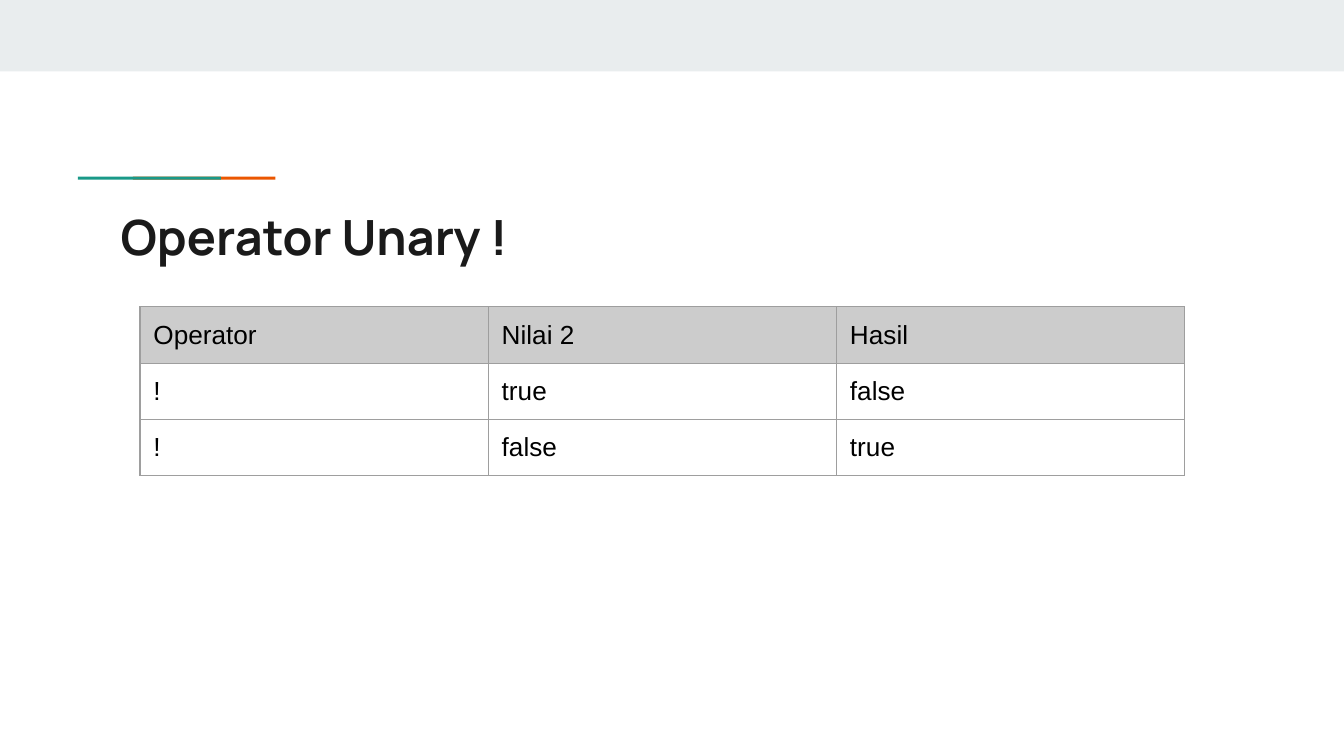
from dataclasses import dataclass

from lxml.etree import SubElement
from pptx import Presentation
from pptx.dml.color import RGBColor
from pptx.enum.shapes import MSO_SHAPE
from pptx.enum.text import MSO_ANCHOR, MSO_AUTO_SIZE, PP_ALIGN
from pptx.oxml.ns import qn
from pptx.util import Pt

BAND = RGBColor(0xE9, 0xED, 0xEE)
ORANGE = RGBColor(0xEB, 0x56, 0x00)
TEAL = RGBColor(0x1A, 0x99, 0x88)
INK = RGBColor(0x1A, 0x1A, 0x1A)
BLACK = RGBColor(0x00, 0x00, 0x00)
HEADER = RGBColor(0xCC, 0xCC, 0xCC)
BORDER = RGBColor(0x9E, 0x9E, 0x9E)

INSET = Pt(7.2)
ROWS = [
    ("Operator", "Nilai 2", "Hasil"),
    ("!", "true", "false"),
    ("!", "false", "true"),
]


@dataclass
class Bar:
    left: float
    top: float
    width: float
    height: float
    color: RGBColor


BARS = [
    Bar(0, 0, 720, 38.3, BAND),
    Bar(71.2, 94.7, 76.3, 1.6, ORANGE),
    Bar(41.8, 94.7, 76.6, 1.6, TEAL),
]


def add_bar(slide, bar: Bar) -> None:
    sp = slide.shapes.add_shape(MSO_SHAPE.RECTANGLE, Pt(bar.left), Pt(bar.top),
                                Pt(bar.width), Pt(bar.height))
    sp.shadow.inherit = False
    sp.fill.solid()
    sp.fill.fore_color.rgb = bar.color
    sp.line.fill.background()


def add_run(p, text: str, font: str, size: float, color: RGBColor,
            bold: bool = False) -> None:
    r = p.add_run()
    r.text = text
    r.font.name = font
    r.font.size = Pt(size)
    r.font.bold = bold
    r.font.color.rgb = color


def set_insets(box) -> None:
    box.margin_left = box.margin_right = INSET
    box.margin_top = box.margin_bottom = INSET


def set_borders(cell) -> None:
    """Outline a cell; borders must come before its fill in the XML."""
    tcPr = cell._tc.get_or_add_tcPr()
    for side in ("a:lnL", "a:lnR", "a:lnT", "a:lnB"):
        ln = SubElement(tcPr, qn(side), w=str(Pt(0.75)))
        fill = SubElement(ln, qn("a:solidFill"))
        SubElement(fill, qn("a:srgbClr"), val=str(BORDER))


def fill_cell(cell, text: str, is_header: bool) -> None:
    set_insets(cell)
    cell.vertical_anchor = MSO_ANCHOR.TOP
    set_borders(cell)
    if is_header:
        cell.fill.solid()
        cell.fill.fore_color.rgb = HEADER
    else:
        cell.fill.background()
    add_run(cell.text_frame.paragraphs[0], text, "Arial", 14, BLACK)


def add_table(slide, rows: list, left: float, top: float,
              col_width: float, row_height: float) -> None:
    n_cols = len(rows[0])
    table = slide.shapes.add_table(
        len(rows), n_cols, Pt(left), Pt(top),
        Pt(col_width * n_cols), Pt(row_height * len(rows))).table
    table.first_row = table.horz_banding = False
    for i, row in enumerate(rows):
        for j, text in enumerate(row):
            fill_cell(table.cell(i, j), text, i == 0)


def main() -> None:
    prs = Presentation()
    prs.slide_width, prs.slide_height = Pt(720), Pt(405)
    slide = prs.slides.add_slide(prs.slide_layouts[5])

    # Top band and two-colour accent line
    for bar in BARS:
        add_bar(slide, bar)

    # Title
    title = slide.shapes.title
    title.left, title.top = Pt(57.4), Pt(103.7)
    title.width, title.height = Pt(605.5), Pt(42.5)
    tf = title.text_frame
    set_insets(tf)
    tf.word_wrap = True
    tf.auto_size = MSO_AUTO_SIZE.NONE
    tf.vertical_anchor = MSO_ANCHOR.TOP
    p = tf.paragraphs[0]
    p.alignment = PP_ALIGN.LEFT
    add_run(p, "Operator Unary !", "Manrope", 26, INK, bold=True)

    # Truth table of the operator
    add_table(slide, ROWS, 75, 164.4, 186.6, 30)

    prs.save("out.pptx")


if __name__ == "__main__":
    main()
